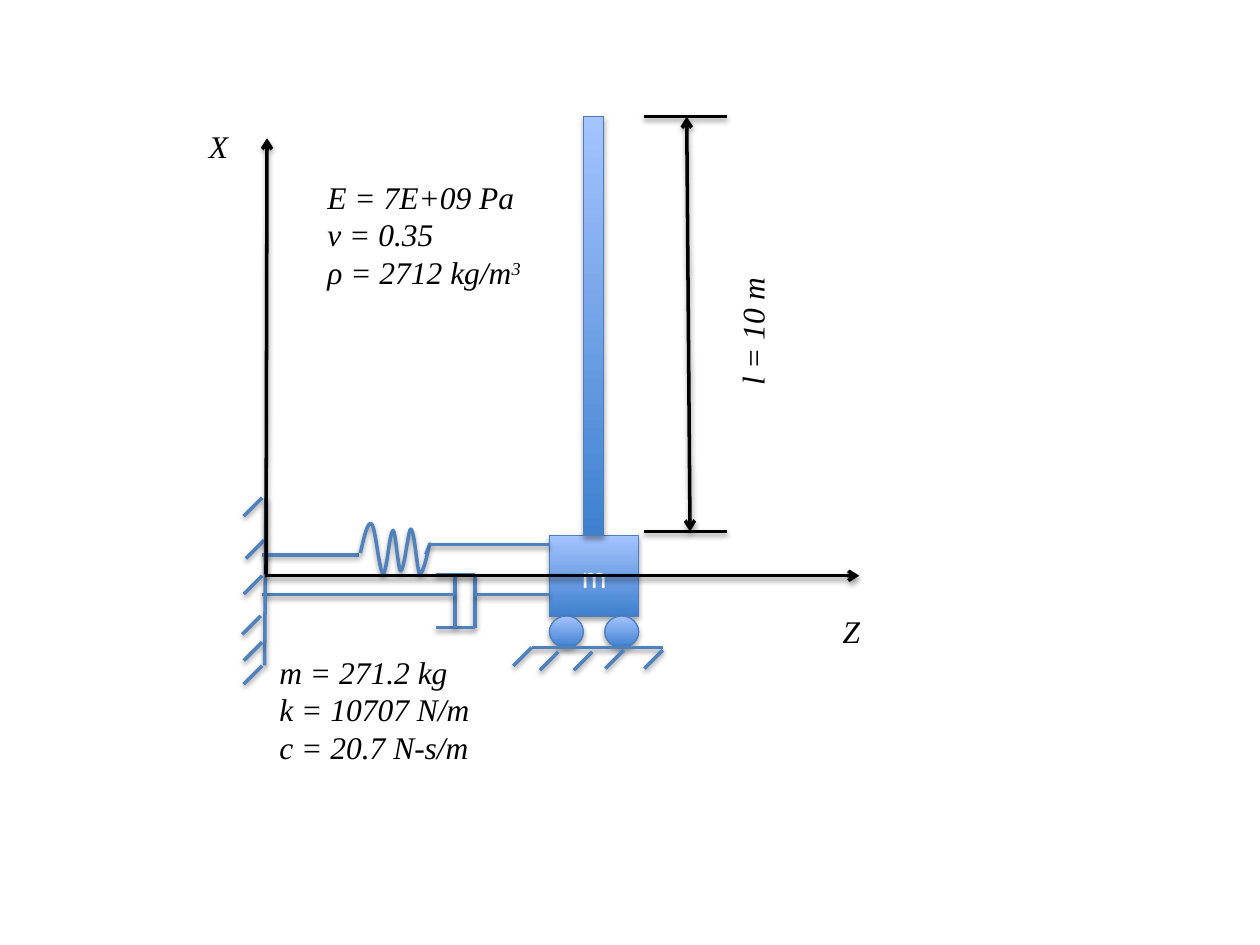
from dataclasses import dataclass

from pptx import Presentation
from pptx.dml.color import RGBColor
from pptx.enum.shapes import MSO_CONNECTOR, MSO_SHAPE
from pptx.enum.text import MSO_ANCHOR, PP_ALIGN
from pptx.oxml import parse_xml
from pptx.oxml.ns import nsdecls, qn
from pptx.util import Pt

RECT, OVAL = MSO_SHAPE.RECTANGLE, MSO_SHAPE.OVAL
STRAIGHT = MSO_CONNECTOR.STRAIGHT
MIDDLE, CENTER = MSO_ANCHOR.MIDDLE, PP_ALIGN.CENTER
BLUE = RGBColor(0x4F, 0x81, 0xBD)
EDGE = RGBColor(0x4B, 0x7E, 0xBC)
DEEP = RGBColor(0x3F, 0x80, 0xCE)
PALE = RGBColor(0xA4, 0xC4, 0xFF)
BLACK = RGBColor(0, 0, 0)
WHITE = RGBColor(255, 255, 255)
HATCH = 10.5


@dataclass
class Line:
    x1: float
    y1: float
    x2: float
    y2: float
    color: RGBColor = BLUE
    ends: tuple[str, ...] = ()


@dataclass
class Solid:
    kind: MSO_SHAPE
    left: float
    top: float
    width: float
    height: float
    text: str = ""


@dataclass
class Note:
    left: float
    top: float
    width: float
    height: float
    lines: tuple[str, ...]
    turn: float = 0
    power: str = ""


def add_shadow(shape, dist: float, alpha: int) -> None:
    shape.element.spPr.append(parse_xml(
        f'<a:effectLst {nsdecls("a")}><a:outerShdw blurRad="{Pt(3.1)}" '
        f'dist="{Pt(dist)}" dir="5400000" rotWithShape="0">'
        f'<a:srgbClr val="000000"><a:alpha val="{alpha * 1000}"/></a:srgbClr>'
        '</a:outerShdw></a:effectLst>'))


def set_line(shape, color: RGBColor, width: float) -> None:
    shape.line.color.rgb = color
    shape.line.width = Pt(width)


def set_font(run, name: str, color: RGBColor, slant: bool) -> None:
    run.font.name = name
    run.font.size = Pt(18)
    run.font.color.rgb = color
    run.font.italic = slant


def draw_line(shapes, item: Line) -> None:
    line = shapes.add_connector(
        STRAIGHT, Pt(item.x1), Pt(item.y1), Pt(item.x2), Pt(item.y2))
    set_line(line, item.color, 2)
    stroke = line.element.spPr.find(qn("a:ln"))
    for end in item.ends:
        stroke.append(parse_xml(f'<a:{end} {nsdecls("a")} type="arrow"/>'))
    add_shadow(line, 1.6, 38)


def draw_solid(shapes, item: Solid) -> None:
    solid = shapes.add_shape(
        item.kind, Pt(item.left), Pt(item.top), Pt(item.width), Pt(item.height))
    solid.fill.gradient()
    solid.fill.gradient_angle = 90
    for stop, color, place in zip(solid.fill.gradient_stops, (DEEP, PALE), (0, 1)):
        stop.color.rgb = color
        stop.position = place
    set_line(solid, EDGE, 0.75)
    add_shadow(solid, 1.8, 35)
    if item.text:
        frame = solid.text_frame
        frame.text = item.text
        frame.vertical_anchor = MIDDLE
        frame.paragraphs[0].alignment = CENTER
        set_font(frame.paragraphs[0].runs[0], "Calibri", WHITE, False)


def draw_note(shapes, item: Note) -> None:
    box = shapes.add_textbox(
        Pt(item.left), Pt(item.top), Pt(item.width), Pt(item.height))
    box.rotation = item.turn
    frame = box.text_frame
    frame.word_wrap = True
    frame.text = "\n".join(item.lines)
    if item.power:
        run = frame.paragraphs[-1].add_run()
        run.text = item.power
        run.font._element.set("baseline", "30000")
    for para in frame.paragraphs:
        for run in para.runs:
            set_font(run, "Times New Roman", BLACK, True)


def draw_spring(shapes, start: tuple, curves: list[tuple]) -> None:
    points, last = [], start
    for curve in curves:
        knots = (last, curve[:2], curve[2:4], curve[4:])
        for step in range(1, 13):
            t = step / 12
            u = 1 - t
            parts = (u ** 3, 3 * u * u * t, 3 * u * t * t, t ** 3)
            points.append(tuple(
                Pt(72 * sum(w * k[axis] for w, k in zip(parts, knots)))
                for axis in (0, 1)))
        last = knots[-1]
    pen = shapes.build_freeform(Pt(72 * start[0]), Pt(72 * start[1]))
    pen.add_line_segments(points, close=False)
    spring = pen.convert_to_shape()
    spring.fill.background()
    set_line(spring, BLUE, 2)
    add_shadow(spring, 1.6, 38)


def hatch(points: list[tuple]) -> list[Line]:
    return [Line(x, y, x - HATCH, y + HATCH) for x, y in points]


SPRING = [
    (2.89, 4.26, 2.92, 4.13, 2.95, 4.16), (2.98, 4.18, 3.01, 4.54, 3.04, 4.55),
    (3.07, 4.56, 3.09, 4.22, 3.12, 4.21), (3.14, 4.21, 3.16, 4.53, 3.18, 4.53),
    (3.21, 4.53, 3.24, 4.2, 3.26, 4.2), (3.29, 4.2, 3.31, 4.53, 3.33, 4.55),
    (3.36, 4.57, 3.4, 4.35, 3.41, 4.32), (3.42, 4.3, 3.38, 4.4, 3.38, 4.4)]
CART = [
    Solid(RECT, 314, 305.8, 51, 46.3, "m"),
    Solid(RECT, 333.4, 66.7, 11.5, 239.1)]
WHEELS = [Solid(OVAL, x, 352, 19.4, 18) for x in (314, 345.6)]
DAMPER = [
    Line(249.2, 328.5, 271.4, 328.5), Line(271.4, 328.5, 271.4, 358.6),
    Line(249.2, 358.6, 271.4, 358.6), Line(260, 328.5, 260, 358.6),
    Line(150, 339.8, 260, 339.8), Line(271.4, 339.8, 314, 339.8)]
WALL = [Line(152, 284.4, 151.2, 380.2), Line(150, 317, 205.4, 317)]
ROD = [Line(245.5, 311.3, 314, 311.3)]
GROUND = [Line(303.8, 370, 378.7, 370)] + hatch([
    (303.8, 370), (378.7, 371.5), (319, 372.5), (338.4, 372.5), (356.4, 371.5),
    (149.8, 284.4), (149.8, 329), (151, 308.7), (149.8, 380.4),
    (149.8, 367), (149, 352)])
SPAN = [Line(368, y, 415.4, y, BLACK) for y in (66.7, 303.7)] + [
    Line(392.4, 66.7, 394.3, 303.7, BLACK, ("headEnd", "tailEnd"))]
AXES = [
    Line(151.2, 329, 491, 329, BLACK, ("tailEnd",)),
    Line(152, 328, 152.6, 79, BLACK, ("tailEnd",))]
NOTES = [
    Note(390.2, 172.1, 80.6, 30.2, ("l = 10 m",), 270),
    Note(152.6, 369.4, 152, 94.3,
         ("m = 271.2 kg", "k = 10707 N/m", "c = 20.7 N-s/m")),
    Note(474.5, 346.3, 52.6, 28.8, ("Z",)),
    Note(112.3, 69.1, 52.6, 28.8, ("X",)),
    Note(180, 98, 134, 72.7,
         ("E = 7E+09 Pa", "ν = 0.35", "ρ = 2712 kg/m"), power="3")]

deck = Presentation()
deck.slide_width, deck.slide_height = Pt(720), Pt(540)
shapes = deck.slides.add_slide(deck.slide_layouts[6]).shapes
for item in CART:
    draw_solid(shapes, item)
for item in DAMPER + WALL:
    draw_line(shapes, item)
draw_spring(shapes, (2.86, 4.39), SPRING)
for item in ROD:
    draw_line(shapes, item)
for item in WHEELS:
    draw_solid(shapes, item)
for item in GROUND + SPAN + AXES:
    draw_line(shapes, item)
for item in NOTES:
    draw_note(shapes, item)
deck.save("out.pptx")
